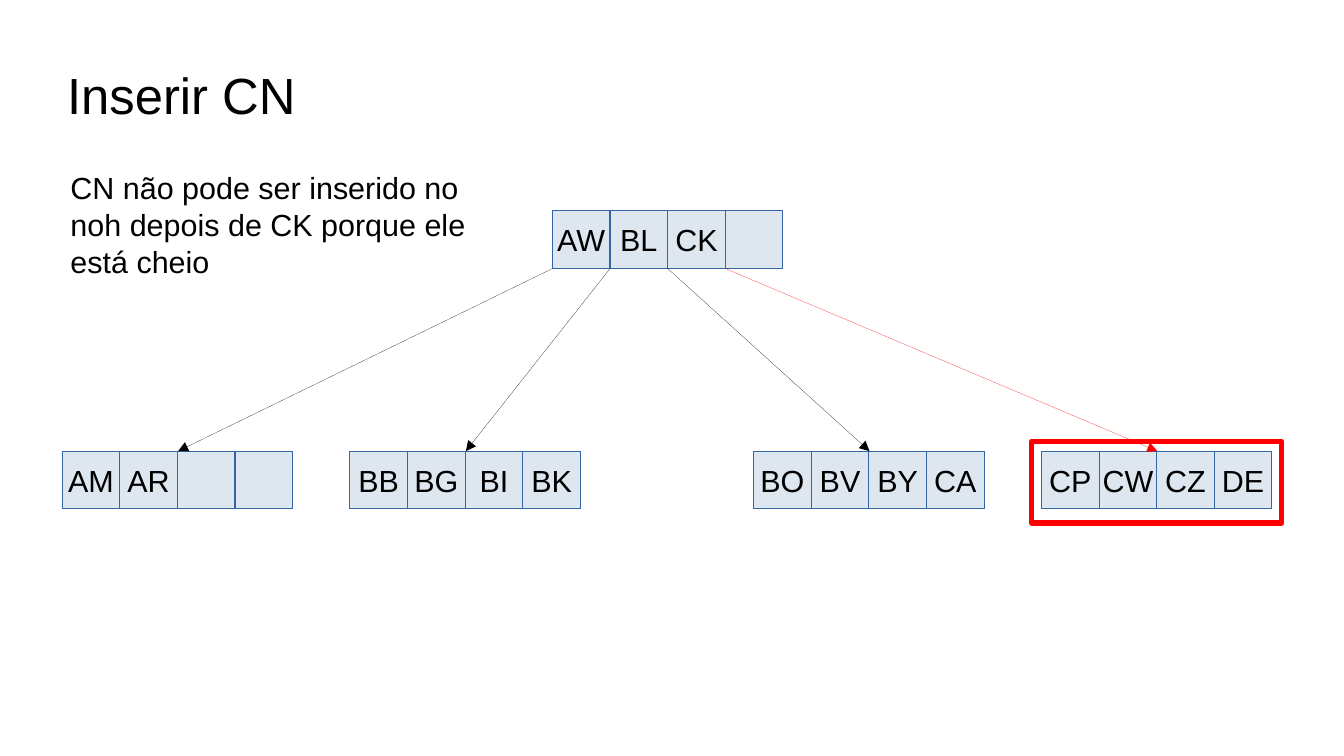
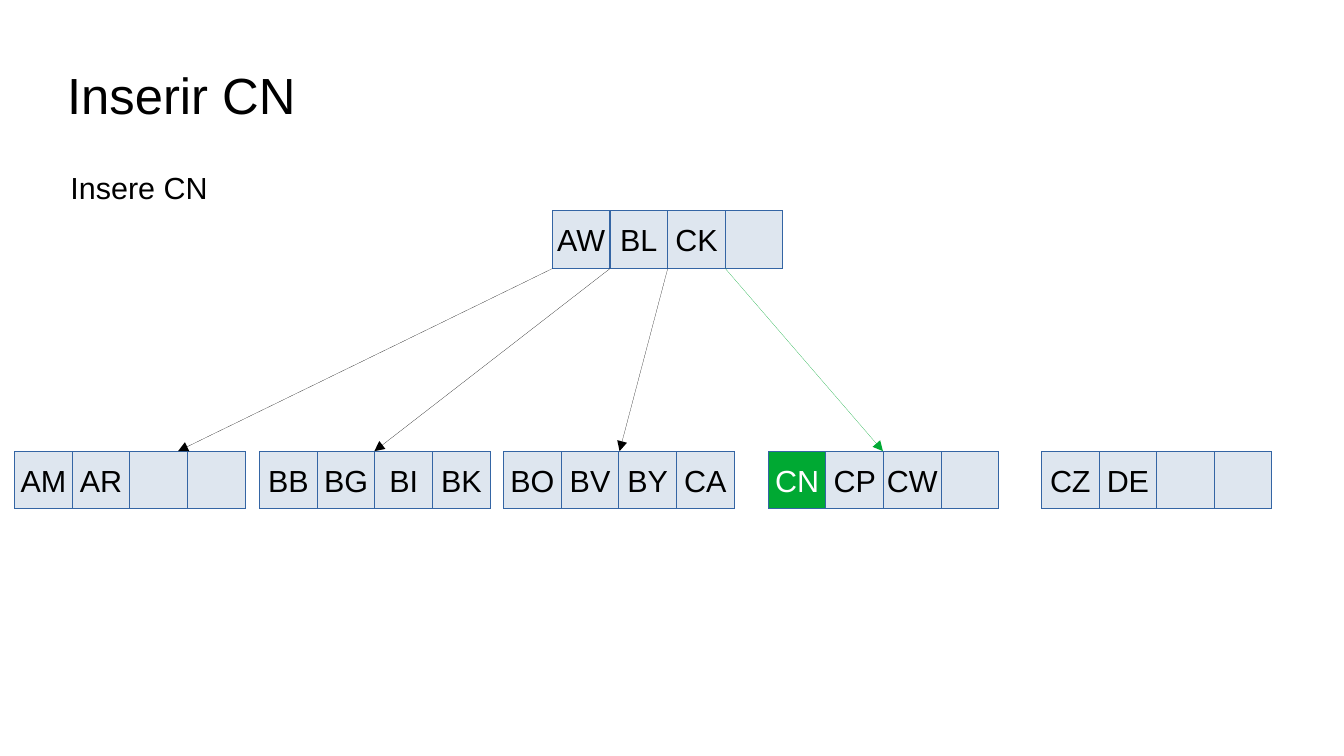
import pptx
import pptx.util
import pptx.dml.color
import pptx.enum.shapes
import pptx.enum.text
import pptx.oxml.ns
from lxml import etree

Inches, Pt = pptx.util.Inches, pptx.util.Pt
RGBColor = pptx.dml.color.RGBColor
Align = pptx.enum.text.PP_ALIGN
Anchor = pptx.enum.text.MSO_ANCHOR
Shape = pptx.enum.shapes.MSO_SHAPE
qn = pptx.oxml.ns.qn

BLACK = RGBColor(0x00, 0x00, 0x00)
WHITE = RGBColor(0xFF, 0xFF, 0xFF)
RED = RGBColor(0xFF, 0x00, 0x00)
GREEN = RGBColor(0x00, 0xA9, 0x33)
PALE = RGBColor(0xDE, 0xE6, 0xEF)
BLUE = RGBColor(0x34, 0x65, 0xA4)

SIZE = (11.02, 6.2)
SLOTS = 4
NODE = 1.89
CELL = NODE / SLOTS
ROOT = (4.53, 1.73)
LEAF_TOP = 3.7
TITLE_BOX = (0.55, 0.25, 9.92, 1.04)
FRAME = (8.46, 3.62, 2.05, 0.67)

FLUSH = {"margin_left": 0, "margin_right": 0, "margin_top": 0,
         "margin_bottom": 0, "vertical_anchor": Anchor.MIDDLE,
         "word_wrap": True}
CENTRED = {"vertical_anchor": Anchor.MIDDLE, "word_wrap": False}
WRAPPED = {"vertical_anchor": Anchor.TOP, "word_wrap": True}

ROOT_KEYS = ["AW", "BL", "CK"]
# A leaf is (left, keys); an arrow is (tip, colour), one for each root slot.
SLIDES = [
    {
        "title": "Inserir CN",
        "note": ["CN não pode ser inserido no",
                 "noh depois de CK porque ele",
                 "está cheio"],
        "leaves": [
            (0.51, ["AM", "AR"]),
            (2.87, ["BB", "BG", "BI", "BK"]),
            (6.18, ["BO", "BV", "BY", "CA"]),
            (8.54, ["CP", "CW", "CZ", "DE"]),
        ],
        "arrows": [(1.46, BLACK), (3.82, BLACK), (7.13, BLACK), (9.49, RED)],
        "new": None,
        "frame": FRAME,
    },
    {
        "title": "Inserir CN",
        "note": ["Insere CN"],
        "leaves": [
            (0.12, ["AM", "AR"]),
            (2.13, ["BB", "BG", "BI", "BK"]),
            (4.13, ["BO", "BV", "BY", "CA"]),
            (6.3, ["CN", "CP", "CW"]),
            (8.54, ["CZ", "DE"]),
        ],
        "arrows": [(1.46, BLACK), (3.07, BLACK), (5.08, BLACK), (7.24, GREEN)],
        "new": "CN",
        "frame": None,
    },
]


def style(thing, values):
    for name, value in values.items():
        setattr(thing, name, value)


def write(shape, lines, size, frame, color=BLACK, align=Align.LEFT):
    text = shape.text_frame
    text.text = "\n".join(lines)
    style(text, frame)
    for para in text.paragraphs:
        para.alignment = align
        style(para.runs[0].font, {"name": "Arial", "size": Pt(size)})
        para.runs[0].font.color.rgb = color


def outline(shape, color, width=0):
    """Colour the line; the width goes in as XML so that 0 is kept."""
    shape.line.color.rgb = color
    line = shape.element.spPr.find(qn("a:ln"))
    line.set("w", str(int(Pt(width))))
    return line


def add_box(slide, box, fill, color, width=0):
    shape = slide.shapes.add_shape(Shape.RECTANGLE, *map(Inches, box))
    shape.shadow.inherit = False
    if fill is None:
        shape.fill.background()
    else:
        shape.fill.solid()
        shape.fill.fore_color.rgb = fill
    outline(shape, color, width)
    return shape


def add_node(slide, left, top, keys, new):
    """Draw a row of slots; the new key stands out in green."""
    for slot in range(SLOTS):
        key = keys[slot] if slot < len(keys) else None
        fresh = key is not None and key == new
        box = (left + slot * CELL, top, CELL, CELL)
        cell = add_box(slide, box, GREEN if fresh else PALE, BLUE)
        if key:
            write(cell, [key], 18, CENTRED, WHITE if fresh else BLACK,
                  Align.CENTER)


def add_arrow(slide, start, end, color):
    kind = pptx.enum.shapes.MSO_CONNECTOR.STRAIGHT
    arrow = slide.shapes.add_connector(kind, *map(Inches, start + end))
    line = outline(arrow, color)
    etree.SubElement(line, qn("a:tailEnd"), type="triangle")
    etree.SubElement(arrow.element.spPr, qn("a:effectLst"))


def add_slide(deck, layout, data):
    slide = deck.slides.add_slide(layout)
    write(slide.shapes.title, [data["title"]], 30, FLUSH)
    note = slide.shapes.add_textbox(*map(Inches, (0.48, 1.34, 3.8, 0.94)))
    write(note, data["note"], 18, WRAPPED)

    left, top = ROOT
    add_node(slide, left, top, ROOT_KEYS, data["new"])
    for start, keys in data["leaves"]:
        add_node(slide, start, LEAF_TOP, keys, data["new"])
    for slot, (tip, color) in enumerate(data["arrows"]):
        add_arrow(slide, (left + slot * CELL, top + CELL), (tip, LEAF_TOP),
                  color)
    if data["frame"]:
        add_box(slide, data["frame"], None, RED, 3)


def main():
    deck = pptx.Presentation()
    deck.slide_width, deck.slide_height = map(Inches, SIZE)
    layout = deck.slide_layouts.get_by_name("Title Only")
    places = zip(("left", "top", "width", "height"), map(Inches, TITLE_BOX))
    style(layout.placeholders[0], dict(places))
    for data in SLIDES:
        add_slide(deck, layout, data)
    deck.save("out.pptx")


if __name__ == "__main__":
    main()
